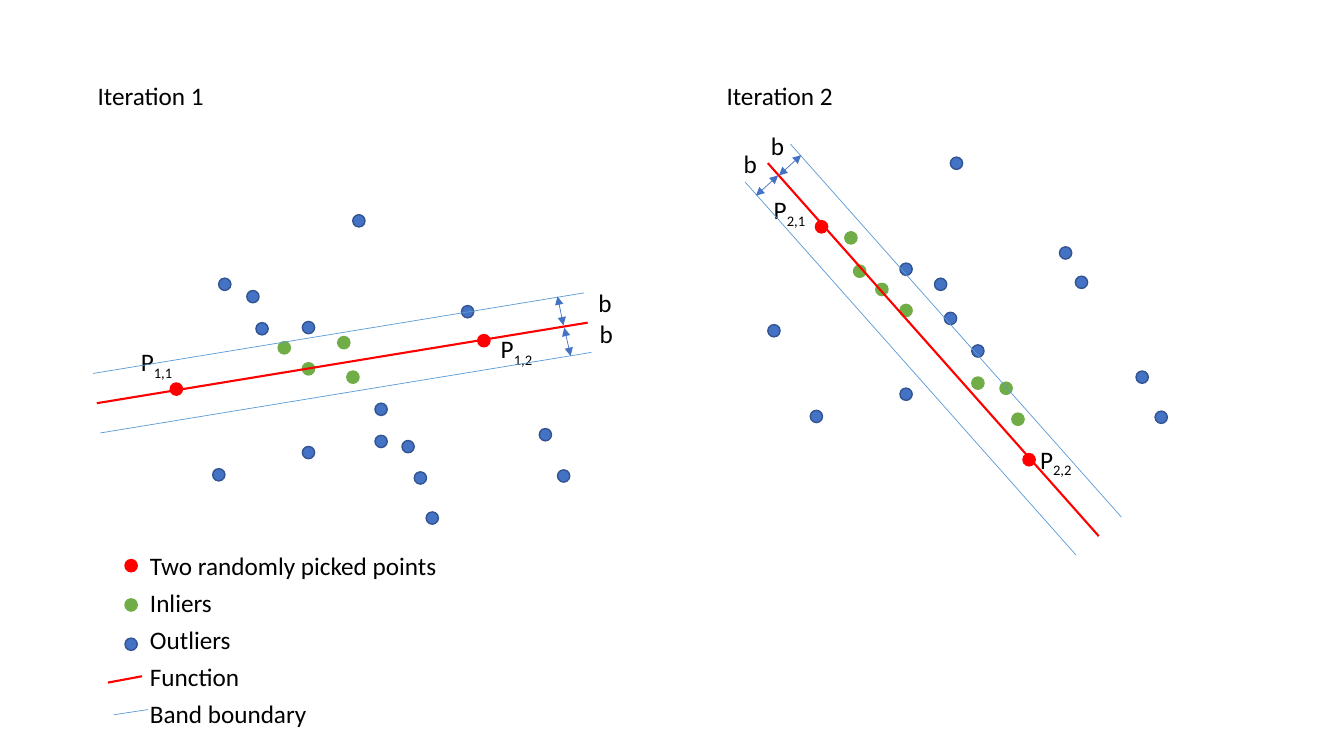
from lxml import etree
from pptx import Presentation
from pptx.dml.color import RGBColor
from pptx.enum.shapes import MSO_CONNECTOR, MSO_SHAPE
from pptx.enum.text import MSO_AUTO_SIZE
from pptx.oxml.ns import qn
from pptx.util import Cm, Pt

# All positions are in centimetres; dots and labels give left and top.
ITERATIONS = [
    {
        "title": ("Iteration 1", 2.21, 1.91),
        "dots": {
            "picked": [(12.04, 8.43), (4.29, 9.65)],
            "inlier": [(7.01, 8.61), (7.62, 9.14), (8.74, 9.35), (8.51, 8.48)],
            "outlier": [
                (5.51, 7.01), (6.22, 7.32), (6.45, 8.13), (7.62, 8.10), (9.45, 10.16),
                (7.62, 11.25), (5.36, 11.81), (11.63, 7.70), (10.13, 11.10),
                (9.45, 10.97), (10.44, 11.89), (10.74, 12.90), (14.05, 11.84),
                (8.89, 5.41), (13.59, 10.80),
            ],
        },
        "labels": [("P", "1,1", 3.30, 8.61), ("P", "1,2", 12.37, 8.28),
                   ("b", "", 14.83, 7.11), ("b", "", 14.86, 7.90)],
        "function": (2.44, 10.16, 14.81, 8.13),
        "band_offset": (0.09, 0.75),
        "widths": [(14.05, 7.47, 14.20, 8.20), (14.22, 8.26, 14.38, 8.97)],
    },
    {
        "title": ("Iteration 2", 18.06, 1.91),
        "dots": {
            "picked": [(20.55, 5.56), (25.78, 11.43)],
            "inlier": [(21.29, 5.84), (21.51, 6.68), (22.07, 7.14), (22.68, 7.67),
                       (25.20, 9.63), (24.49, 9.50), (25.50, 10.41)],
            "outlier": [
                (22.68, 6.63), (23.80, 7.87), (23.55, 7.01), (24.49, 8.69),
                (22.68, 9.78), (20.42, 10.34), (26.70, 6.22), (27.10, 6.96),
                (19.35, 8.18), (29.11, 10.36), (23.95, 3.96), (28.63, 9.35),
            ],
        },
        "labels": [("P", "2,1", 19.25, 4.78), ("P", "2,2", 25.96, 11.07),
                   ("b", "", 18.49, 3.61), ("b", "", 19.18, 3.15)],
        "function": (27.69, 13.51, 19.35, 4.11),
        "band_offset": (0.57, -0.48),
        "widths": [(19.61, 4.42, 19.05, 4.93), (20.19, 3.91, 19.63, 4.42)],
    },
]
LEGEND_TEXTS = ["Two randomly picked points", "Inliers", "Outliers", "Function",
                "Band boundary"]
LEGEND_DOTS = ["picked", "inlier", "outlier"]
LEGEND_LINES = {"function": (2.72, 17.20, 3.58, 17.04),
                "band": (2.87, 18.01, 3.73, 17.88)}
LEGEND_TEXT_LEFT, LEGEND_TEXT_TOP, LEGEND_TEXT_STEP = 3.53, 13.74, 0.93
LEGEND_DOT_LEFT, LEGEND_DOT_TOP, LEGEND_DOT_STEP = 3.15, 14.10, 0.99
DOT_SIZE, TEXT_HEIGHT, WIDE, NARROW = 0.31, 1.02, 8.31, 1.88

THEME = {
    "font": "Calibri",
    "size": 18,
    "text": "000000",
    "dots": {"picked": ("FF0000", "FF0000"), "inlier": ("70AD47", "70AD47"),
             "outlier": ("4472C4", "325491")},
    "dot_outline": 1,
    "lines": {"function": ("FF0000", 1.5), "band": ("5B9BD5", 0.5),
              "width": ("4472C4", 0.5)},
}


def rgb(code):
    return RGBColor.from_string(code)


def add_text(s, text, x, y, *, width=WIDE, subscript="", size=THEME["size"],
             color=THEME["text"]):
    sp = s.shapes.add_textbox(Cm(x), Cm(y), Cm(width), Cm(TEXT_HEIGHT))
    tf = sp.text_frame
    tf.word_wrap = True
    tf.auto_size = MSO_AUTO_SIZE.SHAPE_TO_FIT_TEXT
    p = tf.paragraphs[0]
    for part, baseline in ((text, 0), (subscript, -25000)):
        if not part:
            continue
        r = p.add_run()
        r.text = part
        r.font.name = THEME["font"]
        r.font.size = Pt(size)
        r.font.color.rgb = rgb(color)
        if baseline:
            r.font._element.set("baseline", str(baseline))


def add_dot(s, kind, x, y):
    fill, outline = THEME["dots"][kind]
    sp = s.shapes.add_shape(MSO_SHAPE.OVAL, Cm(x), Cm(y), Cm(DOT_SIZE), Cm(DOT_SIZE))
    sp.shadow.inherit = False
    sp.fill.solid()
    sp.fill.fore_color.rgb = rgb(fill)
    sp.line.color.rgb = rgb(outline)
    sp.line.width = Pt(THEME["dot_outline"])


def add_line(s, kind, ends, arrows=False):
    color, weight = THEME["lines"][kind]
    sp = s.shapes.add_connector(MSO_CONNECTOR.STRAIGHT, *(Cm(v) for v in ends))
    sp.line.color.rgb = rgb(color)
    sp.line.width = Pt(weight)
    if arrows:
        ln = sp.line._get_or_add_ln()
        for tag in ("a:headEnd", "a:tailEnd"):
            etree.SubElement(ln, qn(tag)).set("type", "triangle")
    etree.SubElement(sp._element.spPr, qn("a:effectLst"))


def add_iteration(s, iteration):
    for kind, places in iteration["dots"].items():
        for x, y in places:
            add_dot(s, kind, x, y)
    for text, subscript, x, y in iteration["labels"]:
        add_text(s, text, x, y, width=NARROW, subscript=subscript)
    x1, y1, x2, y2 = iteration["function"]
    dx, dy = iteration["band_offset"]
    add_line(s, "function", (x1, y1, x2, y2))
    for side in (1, -1):
        add_line(s, "band", (x1 + side * dx, y1 + side * dy,
                             x2 + side * dx, y2 + side * dy))
    for ends in iteration["widths"]:
        add_line(s, "width", ends, arrows=True)
    add_text(s, *iteration["title"])


def add_legend(s):
    for i, text in enumerate(LEGEND_TEXTS):
        add_text(s, text, LEGEND_TEXT_LEFT, LEGEND_TEXT_TOP + i * LEGEND_TEXT_STEP)
    for i, kind in enumerate(LEGEND_DOTS):
        add_dot(s, kind, LEGEND_DOT_LEFT, LEGEND_DOT_TOP + i * LEGEND_DOT_STEP)
    for kind, ends in LEGEND_LINES.items():
        add_line(s, kind, ends)


def main():
    prs = Presentation()
    prs.slide_width, prs.slide_height = Cm(33.87), Cm(19.05)
    s = prs.slides.add_slide(prs.slide_layouts[6])
    for iteration in ITERATIONS:
        add_iteration(s, iteration)
    add_legend(s)
    prs.save("out.pptx")


if __name__ == "__main__":
    main()
